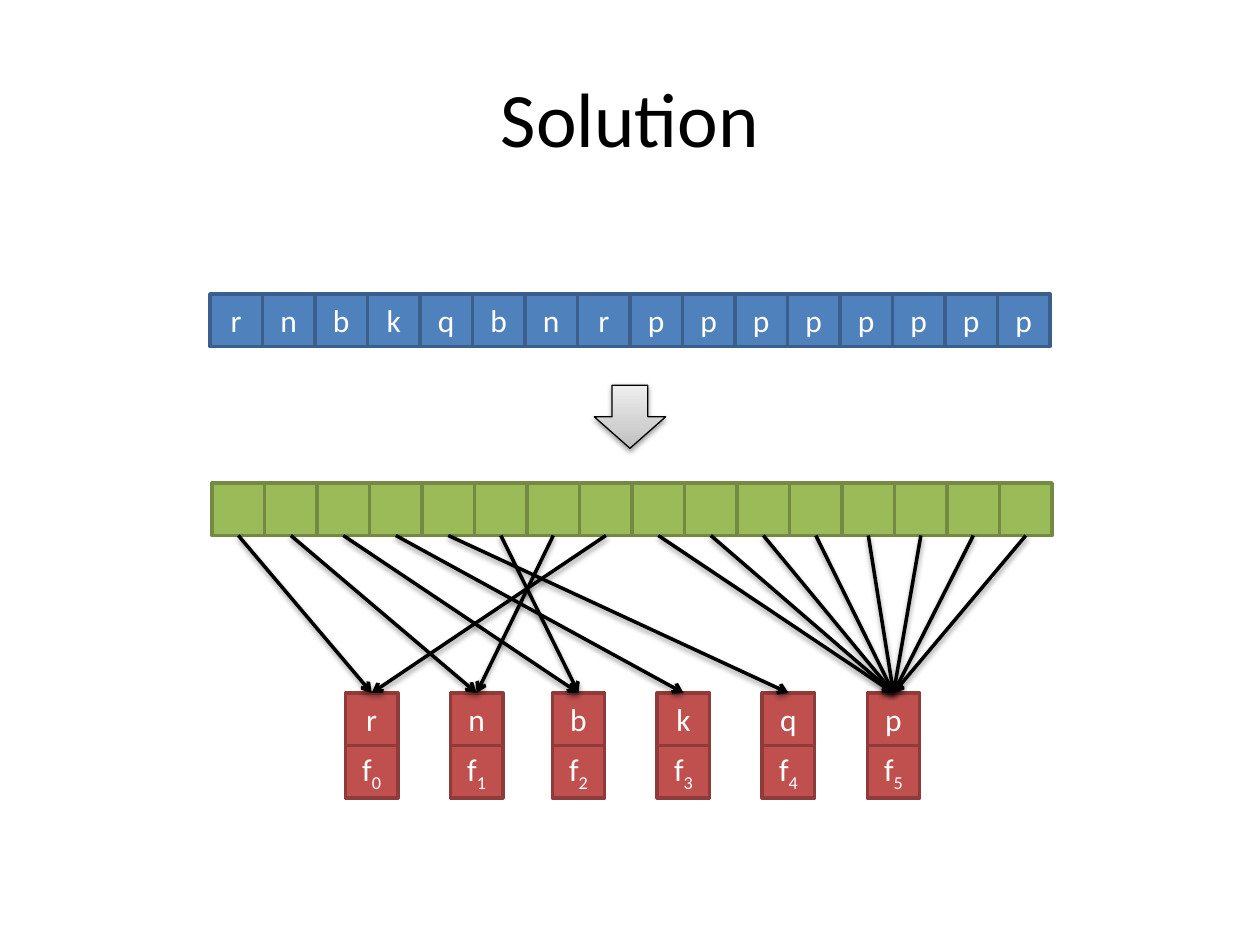
from dataclasses import dataclass

from lxml import etree
from pptx import Presentation
from pptx.dml.color import RGBColor
from pptx.enum.shapes import MSO_CONNECTOR, MSO_SHAPE
from pptx.enum.text import MSO_ANCHOR, PP_ALIGN
from pptx.oxml.ns import qn
from pptx.util import Pt

RECT, DOWN = MSO_SHAPE.RECTANGLE, MSO_SHAPE.DOWN_ARROW
LINE = MSO_CONNECTOR.STRAIGHT
MIDDLE, CENTER = MSO_ANCHOR.MIDDLE, PP_ALIGN.CENTER
BOTTOM, TOP = 2, 0

TITLE = "Solution"
INPUT = "rnbkqbnrpppppppp"
KEYS = {"r": 329, "n": 429, "b": 526, "k": 626, "q": 726, "p": 826}
CELL = 50
INPUT_AT = 200, 280
TASK_AT = 202, 460
KEY_TOP = 660
ARROW = 566, 367, 68, 60


@dataclass(frozen=True)
class Theme:
    font: str = "Calibri"
    head: int = 44
    body: int = 18
    ink: str = "000000"
    pale: str = "FFFFFF"
    blue: tuple = ("4F81BD", "3A5F8C")
    green: tuple = ("9BBB59", "738A42")
    red: tuple = ("C0504D", "8E3B39")
    grey: tuple = ((0, "BDBDBD"), (35, "D1D1D1"), (100, "EEEEEE"))
    edge: float = 2
    thin: float = 0.75


THEME = Theme()


def px(n):
    return n * 7620


def rgb(code):
    return RGBColor.from_string(code)


def node(up, tag, **attrs):
    part = etree.SubElement(up, qn(tag))
    for key, value in attrs.items():
        part.set(key, str(value))
    return part


def write(frame, text, sub="", size=THEME.body, color=THEME.pale):
    frame.margin_left = frame.margin_right = 0
    frame.word_wrap = True
    frame.vertical_anchor = MIDDLE
    para = frame.paragraphs[0]
    para.alignment = CENTER
    for part in filter(None, (text, sub)):
        run = para.add_run()
        run.text = part
        run.font.name = THEME.font
        run.font.size = Pt(size)
        run.font.color.rgb = rgb(color)
    if sub:
        run.font._element.set("baseline", "-25000")


def stroke(line, color, width):
    line.color.rgb = rgb(color)
    line.width = Pt(width)


def shade(shape):
    props = shape._element.spPr
    for old in props.findall(qn("a:effectLst")):
        props.remove(old)
    fx = node(props, "a:effectLst")
    cast = node(fx, "a:outerShdw", blurRad=Pt(3.1), dist=Pt(1.6),
                dir=5400000, rotWithShape=0)
    tint = node(cast, "a:srgbClr", val=THEME.ink)
    node(tint, "a:alpha", val=38000)


def cell(shapes, x, y, look, text="", sub=""):
    box = shapes.add_shape(RECT, px(x), px(y), px(CELL), px(CELL))
    box.shadow.inherit = False
    box.fill.solid()
    box.fill.fore_color.rgb = rgb(look[0])
    stroke(box.line, look[1], THEME.edge)
    if text:
        write(box.text_frame, text, sub)
    return box


def row(shapes, at, look, texts):
    x, y = at
    return [cell(shapes, x + i * CELL, y, look, text)
            for i, text in enumerate(texts)]


def link(shapes, start, end):
    line = shapes.add_connector(LINE, 0, 0, 0, 0)
    line.begin_connect(start, BOTTOM)
    line.end_connect(end, TOP)
    stroke(line.line, THEME.ink, THEME.edge)
    node(line.line._get_or_add_ln(), "a:tailEnd", type="arrow")
    shade(line)


def arrow(shapes):
    shape = shapes.add_shape(DOWN, *map(px, ARROW))
    shape.fill.gradient()
    shape.fill.gradient_angle = 90
    stops = shape._element.spPr.find(".//" + qn("a:gsLst"))
    for old in list(stops):
        stops.remove(old)
    for pos, color in THEME.grey:
        node(node(stops, "a:gs", pos=pos * 1000), "a:srgbClr", val=color)
    stroke(shape.line, THEME.ink, THEME.thin)
    shade(shape)


def main():
    deck = Presentation()
    deck.slide_width, deck.slide_height = px(1200), px(900)
    slide = deck.slides.add_slide(deck.slide_layouts[5])
    shapes = slide.shapes
    title = shapes.title
    title.left, title.top, title.width, title.height = map(
        px, (60, 36, 1080, 150))
    write(title.text_frame, TITLE, size=THEME.head, color=THEME.ink)

    row(shapes, INPUT_AT, THEME.blue, INPUT)
    tasks = row(shapes.add_group_shape().shapes, TASK_AT, THEME.green,
                [""] * len(INPUT))
    group = shapes.add_group_shape().shapes
    heads = {}
    for i, (key, x) in enumerate(KEYS.items()):
        heads[key] = cell(group, x, KEY_TOP, THEME.red, key)
        cell(group, x, KEY_TOP + CELL, THEME.red, "f", str(i))
    for task, key in zip(tasks, INPUT):
        link(shapes, task, heads[key])
    arrow(shapes)
    deck.save("out.pptx")


if __name__ == "__main__":
    main()
